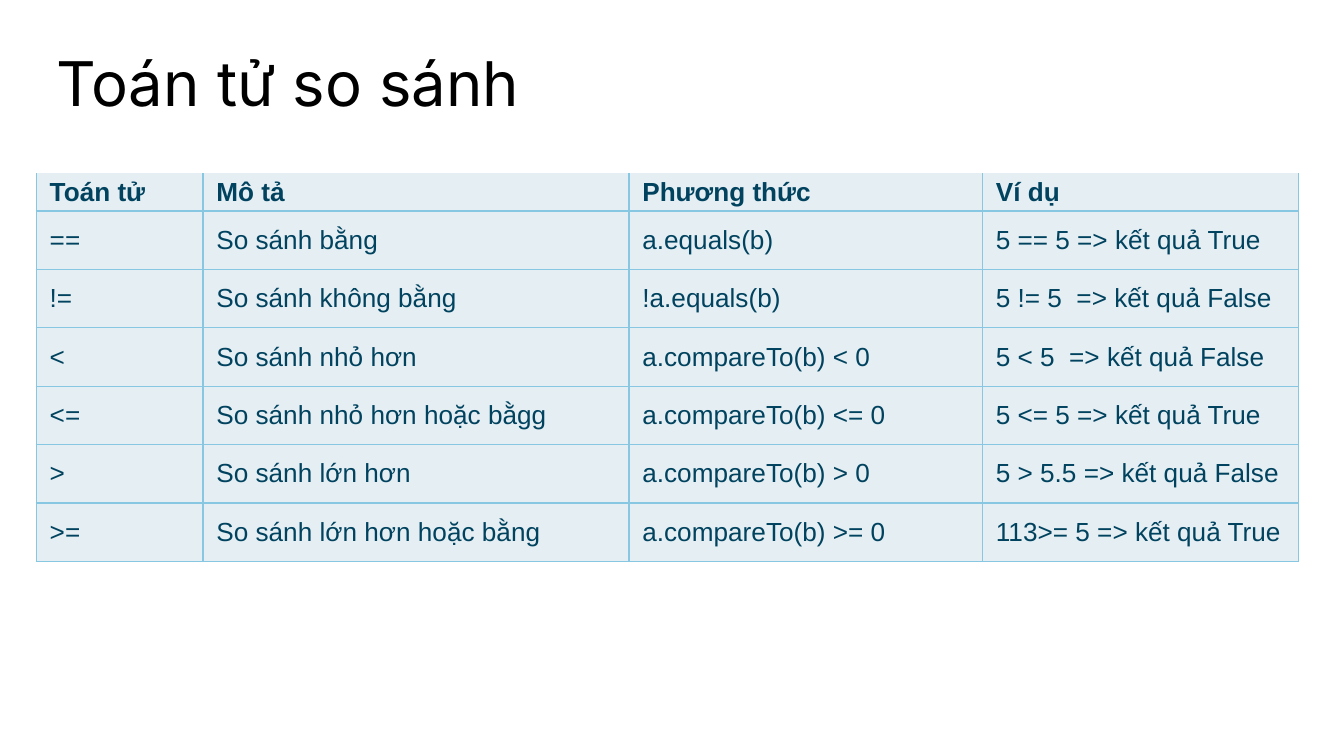
from typing import NamedTuple

from lxml.etree import SubElement
from pptx import Presentation
from pptx.dml.color import RGBColor
from pptx.enum.text import MSO_ANCHOR, MSO_AUTO_SIZE, PP_ALIGN
from pptx.oxml.ns import qn
from pptx.util import Inches, Pt

SLIDE_WIDTH = 10
SLIDE_HEIGHT = SLIDE_WIDTH * 9 / 16
INK = "01435F"
CELL_FILL = "E4EEF3"
BORDER = "88C7E2"
COLUMN_WIDTHS = (1.24, 3.17, 2.63, 2.35)
HEADER_HEIGHT = 0.28
ROW_HEIGHT = 2.61 / 6


class Operator(NamedTuple):
    symbol: str
    description: str
    method: str
    example: str


HEADER = Operator("Toán tử", "Mô tả", "Phương thức", "Ví dụ")
OPERATORS = (
    Operator("==", "So sánh bằng", "a.equals(b)", "5 == 5 => kết quả True"),
    Operator("!=", "So sánh không bằng", "!a.equals(b)", "5 != 5  => kết quả False"),
    Operator("<", "So sánh nhỏ hơn", "a.compareTo(b) < 0", "5 < 5  => kết quả False"),
    Operator("<=", "So sánh nhỏ hơn hoặc bằgg", "a.compareTo(b) <= 0", "5 <= 5 => kết quả True"),
    Operator(">", "So sánh lớn hơn", "a.compareTo(b) > 0", "5 > 5.5 => kết quả False"),
    Operator(">=", "So sánh lớn hơn hoặc bằng", "a.compareTo(b) >= 0", "113>= 5 => kết quả True"),
)


def color(value: str) -> RGBColor:
    return RGBColor.from_string(value)


def write(frame, text: str, *, size: float, font: str, ink: str,
          bold: bool = False, spacing: float = 1.0) -> None:
    paragraph = frame.paragraphs[0]
    paragraph.alignment = PP_ALIGN.LEFT
    paragraph.line_spacing = spacing
    span = paragraph.add_run()
    span.text = text
    span.font.size = Pt(size)
    span.font.name = font
    span.font.bold = bold
    span.font.color.rgb = color(ink)


def set_borders(cell, open_top: bool) -> None:
    """Rule every side of the cell, leaving the top bare if asked."""
    properties = cell._tc.get_or_add_tcPr()
    for index, side in enumerate(("lnL", "lnR", "lnT", "lnB")):
        line = properties.makeelement(qn(f"a:{side}"), {"w": str(Pt(0.75))})
        properties.insert(index, line)
        if open_top and side == "lnT":
            SubElement(line, qn("a:noFill"))
        else:
            fill = SubElement(line, qn("a:solidFill"))
            SubElement(fill, qn("a:srgbClr"), val=BORDER)


def add_title(page, text: str) -> None:
    title = page.shapes.title
    title.left, title.top = Inches(0.32), Inches(0.32)
    title.width, title.height = Inches(9.3), Inches(0.5)
    frame = title.text_frame
    frame.auto_size = MSO_AUTO_SIZE.NONE
    frame.vertical_anchor = MSO_ANCHOR.TOP
    frame.margin_left = frame.margin_right = Inches(0.1)
    frame.margin_top = frame.margin_bottom = Inches(0.1)
    write(frame, text, size=33, font="Inter", ink="000000", spacing=0.85)


def add_operator_table(page, rows: tuple[Operator, ...]) -> None:
    heights = [HEADER_HEIGHT] + [ROW_HEIGHT] * (len(rows) - 1)
    table = page.shapes.add_table(
        len(rows), len(COLUMN_WIDTHS), Inches(0.27), Inches(1.29),
        Inches(sum(COLUMN_WIDTHS)), Inches(sum(heights))).table
    table.first_row = table.horz_banding = False
    for column, width in zip(table.columns, COLUMN_WIDTHS):
        column.width = Inches(width)
    for index, (row, height, operator) in enumerate(zip(table.rows, heights, rows)):
        row.height = Inches(height)
        is_header = index == 0
        for cell, text in zip(row.cells, operator):
            cell.fill.solid()
            cell.fill.fore_color.rgb = color(CELL_FILL)
            cell.vertical_anchor = MSO_ANCHOR.MIDDLE
            cell.margin_left = cell.margin_right = Inches(0.1)
            cell.margin_top = cell.margin_bottom = Inches(0.03)
            set_borders(cell, open_top=is_header)
            write(cell.text_frame, text, size=14, font="Arial", ink=INK, bold=is_header)


def main() -> None:
    deck = Presentation()
    deck.slide_width, deck.slide_height = Inches(SLIDE_WIDTH), Inches(SLIDE_HEIGHT)
    page = deck.slides.add_slide(deck.slide_layouts[5])
    add_title(page, "Toán tử so sánh")
    add_operator_table(page, (HEADER, *OPERATORS))
    deck.save("out.pptx")


if __name__ == "__main__":
    main()
